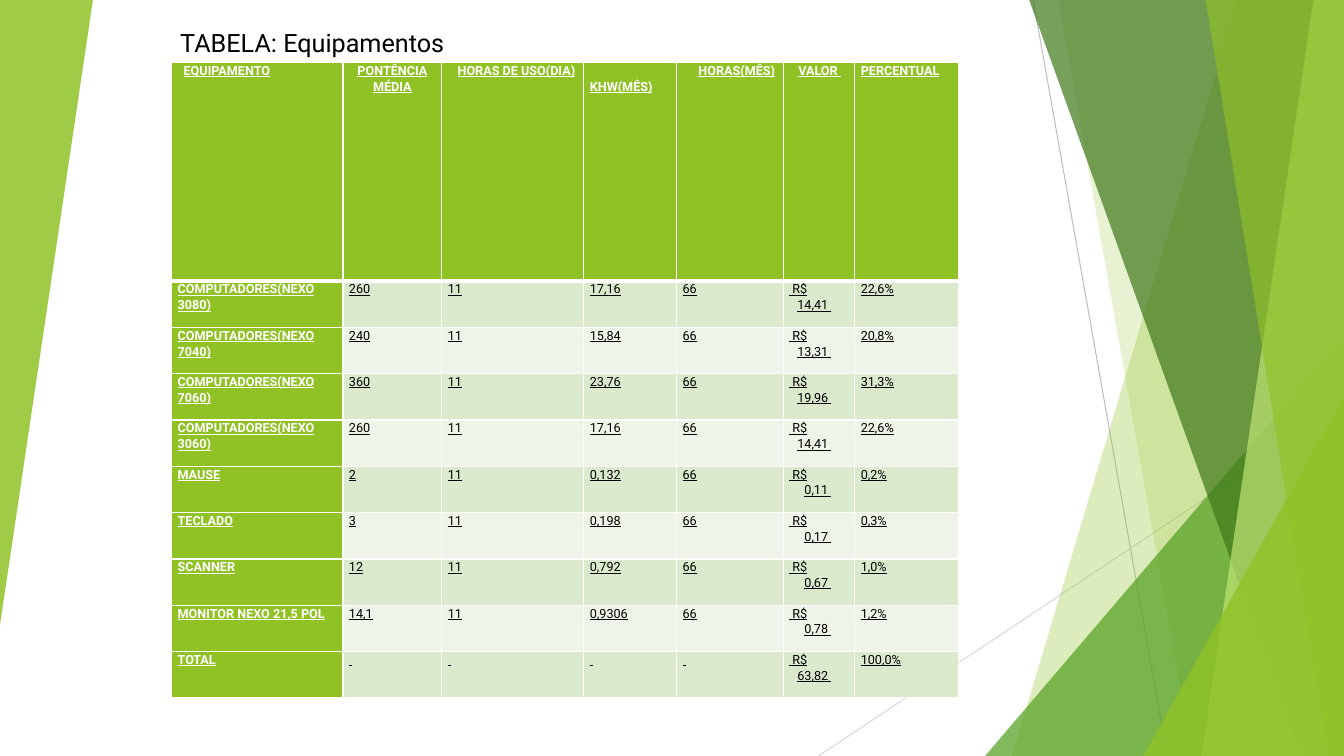
from pptx import Presentation
from pptx import util as u
from pptx.dml import color as c
from pptx.enum import shapes, text
from pptx.oxml import ns
from lxml import etree

WIDTH, HEIGHT = 960, 540
GREEN, WHITE, BLACK = "90C226", "FFFFFF", "000000"
BANDS = ("DBE9CD", "EEF4E8")


def rgb(value):
    return c.RGBColor.from_string(value)


def child(parent, tag, **attributes):
    """Append a DrawingML element with the given attributes."""
    element = etree.SubElement(parent, ns.qn("a:" + tag))
    for name, value in attributes.items():
        element.set(name, str(value))
    return element


def write(para, words, size=9, color=BLACK, bold=False, underline=False,
          align=text.PP_ALIGN.LEFT, spacing=None, after=0, tabs=()):
    span = para.add_run()
    span.text = words
    span.font.name, span.font.size = "Roboto", u.Pt(size)
    span.font.bold, span.font.underline = bold, underline
    span.font.color.rgb = rgb(color)
    para.alignment, para.space_after = align, u.Pt(after)
    if spacing:
        para.line_spacing = spacing
    if tabs:
        stops = child(para._p.get_or_add_pPr(), "tabLst")
        for position, side in tabs:
            child(stops, "tab", pos=u.Pt(position), algn=side)


class Slide:
    """Draws on one slide; every length is in points."""

    def __init__(self, page):
        self.page = page
        self.margin = 4.3
        self.paragraph = dict(underline=True, spacing=1.07)

    def line(self, x1, y1, x2, y2, color):
        line = self.page.shapes.add_connector(
            shapes.MSO_CONNECTOR.STRAIGHT, u.Pt(x1), u.Pt(y1), u.Pt(x2), u.Pt(y2))
        line.line.color.rgb, line.line.width = rgb(color), u.Pt(0.75)
        child(line._element.spPr, "effectLst")

    def paint(self, shape, color, opacity):
        shape.shadow.inherit = False
        shape.line.fill.background()
        shape.fill.solid()
        shape.fill.fore_color.rgb = rgb(color)
        tint = shape._element.spPr.find(ns.qn("a:solidFill"))[0]
        child(tint, "alpha", val=opacity * 1000)

    def ribbon(self, top, bottom, color, opacity):
        """Full-height band from a slanted left edge to the right slide edge."""
        corners = [(WIDTH, 0), (WIDTH, HEIGHT), (bottom, HEIGHT)]
        builder = self.page.shapes.build_freeform(u.Pt(top), 0, scale=1.0)
        builder.add_line_segments([(u.Pt(x), u.Pt(y)) for x, y in corners])
        self.paint(builder.convert_to_shape(), color, opacity)

    def triangle(self, left, top, width, height, color, opacity, rotation=0):
        shape = self.page.shapes.add_shape(
            shapes.MSO_SHAPE.ISOSCELES_TRIANGLE,
            u.Pt(left), u.Pt(top), u.Pt(width), u.Pt(height))
        shape.adjustments[0] = 1
        shape.rotation = rotation
        self.paint(shape, color, opacity)

    def label(self, left, top, width, height, words, **style):
        box = self.page.shapes.add_textbox(
            u.Pt(left), u.Pt(top), u.Pt(width), u.Pt(height))
        box.text_frame.word_wrap = True
        write(box.text_frame.paragraphs[0], words, **style)

    def cell(self, cell, lines, fill, top=1, bottom=1, **style):
        cell.margin_left = cell.margin_right = u.Pt(self.margin)
        cell.margin_top = cell.margin_bottom = 0
        frame = cell.text_frame
        for index, words in enumerate(lines):
            para = frame.add_paragraph() if index else frame.paragraphs[0]
            after = 8 if index == len(lines) - 1 else 0
            write(para, words, after=after, **self.paragraph, **style)
        # Borders come before the fill in the cell properties
        properties = cell._tc.get_or_add_tcPr()
        for side, width in zip("LRTB", (1, 1, top, bottom)):
            border = child(properties, "ln" + side, w=u.Pt(width))
            child(child(border, "solidFill"), "srgbClr", val=WHITE)
        cell.fill.solid()
        cell.fill.fore_color.rgb = rgb(fill)

    def table(self, left, top, widths, heights):
        table = self.page.shapes.add_table(
            len(heights), len(widths), u.Pt(left), u.Pt(top),
            u.Pt(sum(widths)), u.Pt(sum(heights))).table
        table.horz_banding = False
        for column, width in zip(table.columns, widths):
            column.width = u.Pt(width)
        for row, height in zip(table.rows, heights):
            row.height = u.Pt(height)
        return table


# Header lines with the tab stop that indents each one
HEADERS = [
    (["\tEQUIPAMENTO"], 4.3),
    (["PONTÊNCIA MÉDIA"], 0),
    (["\tHORAS DE USO(DIA)"], 7),
    (["\t", "KHW(MÊS)"], 42),
    (["\tHORAS(MÊS)"], 11.4),
    (["\tVALOR "], 6.4),
    (["PERCENTUAL"], 0),
]
# Equipment, mean power, hours a day, kWh, hours a month, cost, share
EQUIPMENT = [
    ("COMPUTADORES(NEXO 3080)", "260", "11", "17,16", "66", "14,41", "22,6%"),
    ("COMPUTADORES(NEXO 7040)", "240", "11", "15,84", "66", "13,31", "20,8%"),
    ("COMPUTADORES(NEXO 7060)", "360", "11", "23,76", "66", "19,96", "31,3%"),
    ("COMPUTADORES(NEXO 3060)", "260", "11", "17,16", "66", "14,41", "22,6%"),
    ("MAUSE", "2", "11", "0,132", "66", "0,11", "0,2%"),
    ("TECLADO", "3", "11", "0,198", "66", "0,17", "0,3%"),
    ("SCANNER", "12", "11", "0,792", "66", "0,67", "1,0%"),
    ("MONITOR NEXO 21,5 POL", "14,1", "11", "0,9306", "66", "0,78", "1,2%"),
    ("TOTAL", " ", " ", " ", " ", "63,82", "100,0%"),
]
COST_COLUMN = 5
COST_TABS = [(30, "r"), (41, "l")]


def draw_background(slide):
    slide.line(738, 0, 833.8, HEIGHT, "BFBFBF")
    slide.line(WIDTH, 290.2, 584.6, HEIGHT, "D9D9D9")
    slide.ribbon(884.2, 722.9, GREEN, 30)
    slide.ribbon(756, 851.8, GREEN, 20)
    slide.triangle(703.6, 240, 256.4, 300, "54A021", 72)
    slide.ribbon(735.2, 929.5, "3F7819", 70)
    slide.ribbon(938.2, 858.2, "C0E474", 70)
    slide.ribbon(861.2, 949, GREEN, 65)
    slide.triangle(816.7, 283, 143.3, 257, GREEN, 80)
    slide.triangle(0, 0, 66.4, 446.4, GREEN, 85, rotation=180)


def draw_table(slide):
    widths = [122.4, 70.6, 101.5, 66.2, 76.3, 51.1, 74.2]
    table = slide.table(122.6, 44.8, widths, [156] + [33.1] * len(EQUIPMENT))

    # Header row
    for column, (lines, indent) in enumerate(HEADERS):
        centred = column == 1
        slide.cell(table.cell(0, column), lines, GREEN, bottom=3,
                   color=WHITE, bold=True,
                   align=text.PP_ALIGN.CENTER if centred else text.PP_ALIGN.LEFT,
                   tabs=[(indent, "l")] if indent else ())

    # Equipment rows in alternating bands
    for row, values in enumerate(EQUIPMENT, 1):
        for column, value in enumerate(values):
            lines, fill, style = [value], BANDS[(row - 1) % 2], {}
            if column == 0:
                fill, style = GREEN, dict(color=WHITE, bold=True)
            elif column == COST_COLUMN:
                lines, style = [" R$\t\t", f"\t{value} "], dict(tabs=COST_TABS)
            slide.cell(table.cell(row, column), lines, fill,
                       top=3 if row == 1 else 1, **style)


def main():
    deck = Presentation()
    deck.slide_width, deck.slide_height = u.Pt(WIDTH), u.Pt(HEIGHT)
    slide = Slide(deck.slides.add_slide(deck.slide_layouts[6]))
    draw_background(slide)
    draw_table(slide)
    slide.label(121.7, 15.8, 224, 29, "TABELA: Equipamentos", size=18)
    deck.save("out.pptx")


if __name__ == "__main__":
    main()
